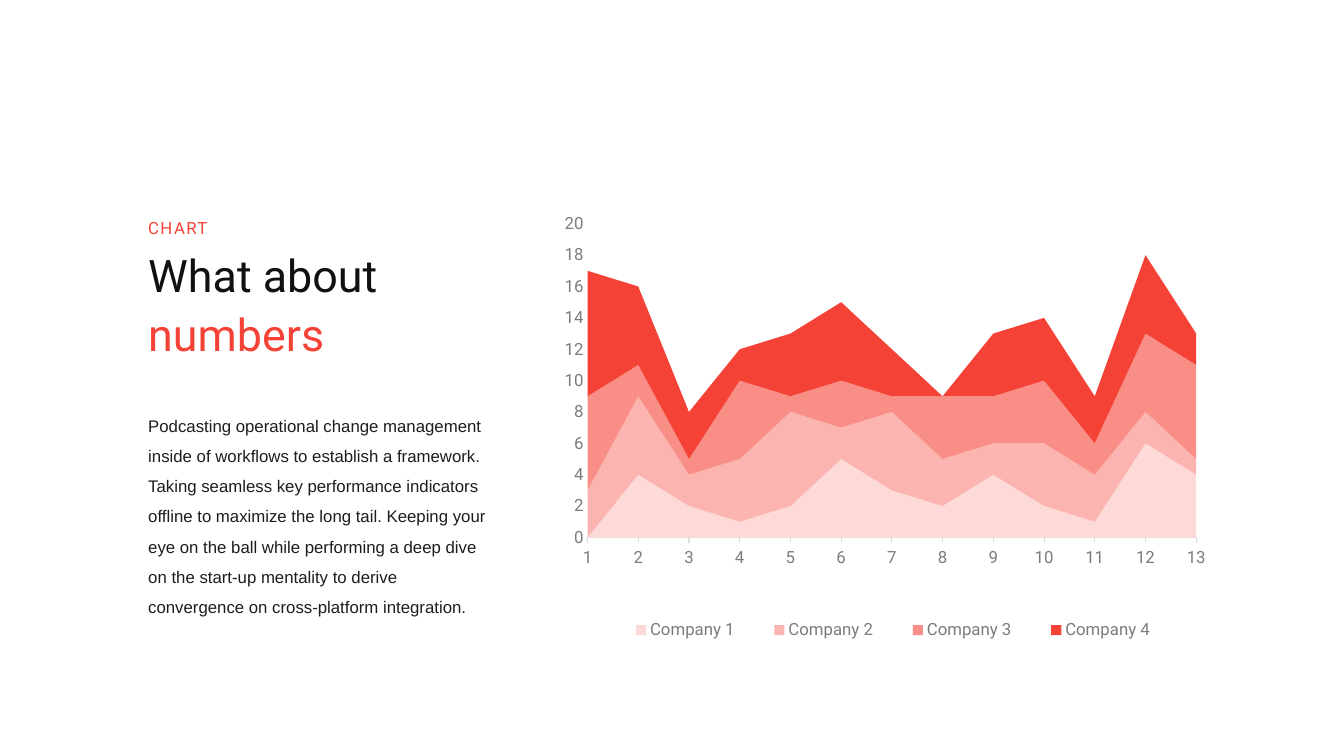
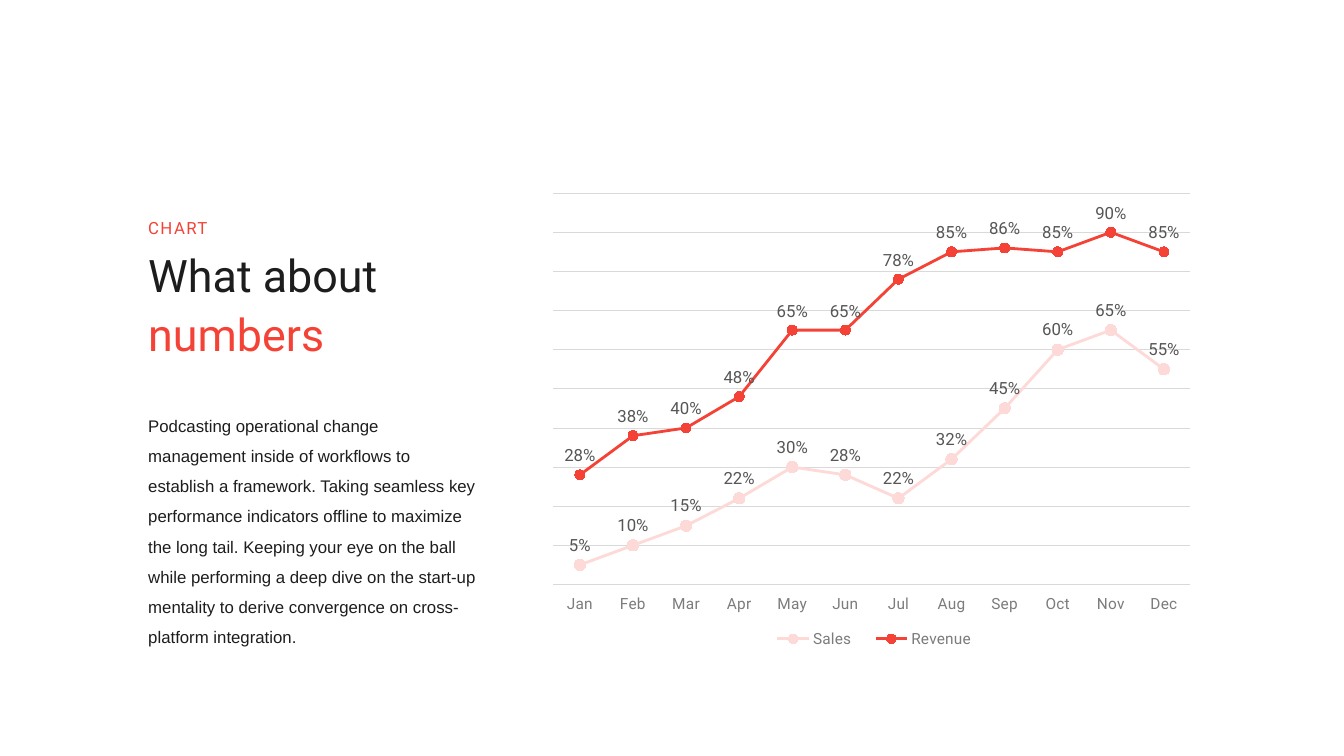
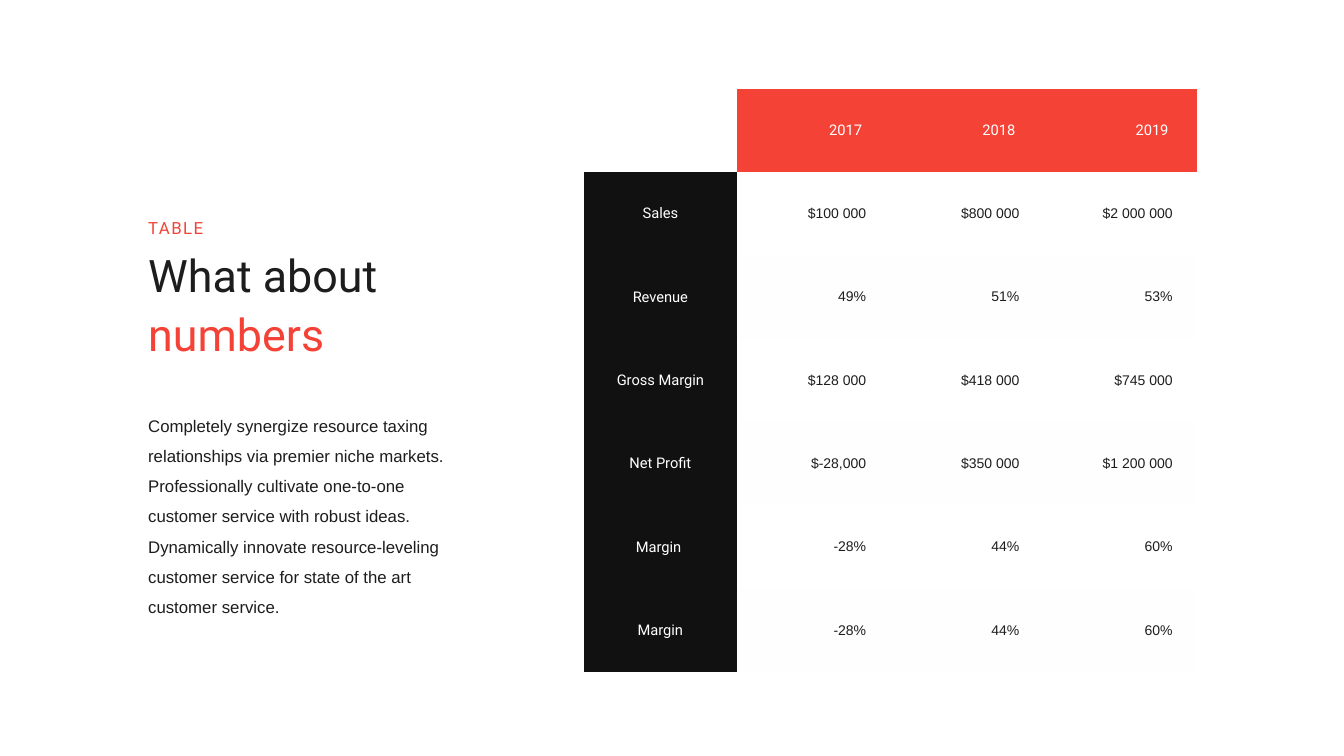
"""Build three slides: a stacked area chart, a line chart and a table, each beside a text column."""
from lxml.etree import SubElement
from pptx import Presentation
from pptx.chart.data import CategoryChartData
from pptx.dml.color import RGBColor
from pptx.enum.chart import XL_CHART_TYPE, XL_LABEL_POSITION, XL_LEGEND_POSITION, XL_MARKER_STYLE, XL_TICK_MARK
from pptx.enum.text import MSO_ANCHOR, MSO_AUTO_SIZE, PP_ALIGN
from pptx.oxml.ns import qn
from pptx.util import Inches, Pt

RED = RGBColor(0xF4, 0x43, 0x36)
CORAL = RGBColor(0xF8, 0x8E, 0x86)
ROSE = RGBColor(0xFB, 0xB4, 0xAF)
BLUSH = RGBColor(0xFD, 0xD9, 0xD7)
BLACK = RGBColor(0x11, 0x11, 0x11)
INK = RGBColor(0x1D, 0x1D, 0x1D)
GRAY = RGBColor(0x7C, 0x7C, 0x7C)
DARK_GRAY = RGBColor(0x56, 0x56, 0x56)
AXIS = RGBColor(0xDD, 0xDD, 0xDD)
GRID = RGBColor(0xD9, 0xD9, 0xD9)
WHITE = RGBColor(0xFF, 0xFF, 0xFF)
OFF_WHITE = RGBColor(0xFE, 0xFE, 0xFE)

HEAD, BODY = "Roboto", "Arial"
LEFT = 1.47
NO_STYLE = "{2D5ABB26-0587-4C30-8999-92F81FD0307C}"

PODCAST = (
    "Podcasting operational change management inside of workflows to establish a framework. "
    "Taking seamless key performance indicators offline to maximize the long tail. "
    "Keeping your eye on the ball while performing a deep dive on the start-up mentality "
    "to derive convergence on cross-platform integration."
)
SYNERGY = (
    "Completely synergize resource taxing relationships via premier niche markets. "
    "Professionally cultivate one-to-one customer service with robust ideas. "
    "Dynamically innovate resource-leveling customer service for state of the art customer service."
)

AREA = {
    "type": XL_CHART_TYPE.AREA_STACKED,
    "at": (5.07, 1.17, 7.5, 5.71),
    "plot": (0.101, 0.184, 0.805, 0.545),
    "legend": (0.12, 0.85, 0.77, 0.08),
    "cross": "midCat",
    "size": 12,
    "max": 20,
    "unit": 2,
    "format": "General",
    "cats": [str(n) for n in range(1, 14)],
    "series": [
        ("Company 1", BLUSH, [0, 4, 2, 1, 2, 5, 3, 2, 4, 2, 1, 6, 4]),
        ("Company 2", ROSE, [3, 5, 2, 4, 6, 2, 5, 3, 2, 4, 3, 2, 1]),
        ("Company 3", CORAL, [6, 2, 1, 5, 1, 3, 1, 4, 3, 4, 2, 5, 6]),
        ("Company 4", RED, [8, 5, 3, 2, 4, 5, 3, 0, 4, 4, 3, 5, 2]),
    ],
}
LINES = {
    "type": XL_CHART_TYPE.LINE_MARKERS,
    "at": (4.76, 1.61, 7.67, 5.03),
    "plot": (0.095, 0.061, 0.824, 0.772),
    "legend": (0.36, 0.91, 0.3, 0.06),
    "cross": "between",
    "size": 11,
    "max": 1,
    "unit": 0.1,
    "format": "0%",
    "cats": "Jan Feb Mar Apr May Jun Jul Aug Sep Oct Nov Dec".split(),
    "series": [
        ("Sales", BLUSH, [0.05, 0.1, 0.15, 0.22, 0.3, 0.28, 0.22, 0.32, 0.45, 0.6, 0.65, 0.55]),
        ("Revenue", RED, [0.28, 0.38, 0.4, 0.48, 0.65, 0.65, 0.78, 0.85, 0.86, 0.85, 0.9, 0.85]),
    ],
}
MARKER_SIZES = (8, 7)
TABLE_AT = (5.79, 0.88, 6.08, 5.79)
ROWS = [
    ("", "2017", "2018", "2019"),
    ("Sales", "$100 000", "$800 000", "$2 000 000"),
    ("Revenue", "49%", "51%", "53%"),
    ("Gross Margin", "$128 000", "$418 000", "$745 000"),
    ("Net Profit", "$-28,000", "$350 000", "$1 200 000"),
    ("Margin ", "-28%", "44%", "60%"),
    ("Margin", "-28%", "44%", "60%"),
]


def box(at):
    return [Inches(v) for v in at]


def style(font, name, size, color):
    for key, value in {"name": name, "size": Pt(size), "bold": False}.items():
        setattr(font, key, value)
    font.color.rgb = color


def add_text(s, at, runs, name, size, spacing, anchor=MSO_ANCHOR.TOP, tracking=0):
    tf = s.shapes.add_textbox(*box(at)).text_frame
    fmt = {"word_wrap": True, "auto_size": MSO_AUTO_SIZE.SHAPE_TO_FIT_TEXT, "vertical_anchor": anchor,
           "margin_left": 0, "margin_top": 0, "margin_right": 0, "margin_bottom": 0}
    for key, value in fmt.items():
        setattr(tf, key, value)
    p = tf.paragraphs[0]
    p.line_spacing = spacing
    for i, (text, color) in enumerate(runs):
        if i:
            p.add_line_break()
        r = p.add_run()
        r.text = text
        style(r.font, name, size, color)
        if tracking:
            r.font._element.set("spc", str(tracking * 100))


def add_column(s, label, title_width, title_color, body, body_width, body_height):
    title = [("What about ", title_color), ("numbers", RED)]
    add_text(s, (LEFT, 2.4, title_width, 1.18), title, HEAD, 32, 1.1)
    add_text(s, (LEFT, 4.02, body_width, body_height), [(body, INK)], BODY, 12, 1.5)
    add_text(s, (LEFT, 2.12, 1.98, 0.24), [(label, RED)], HEAD, 12, 1.2, MSO_ANCHOR.BOTTOM, 1)


def set_layout(parent, shares, after=None, inner=False):
    for old in parent.findall(qn("c:layout")):
        parent.remove(old)
    layout = SubElement(parent, qn("c:layout"))
    if after is None:
        parent.insert(0, layout)
    else:
        after.addnext(layout)
    manual = SubElement(layout, qn("c:manualLayout"))
    parts = [("layoutTarget", "inner")] if inner else []
    parts += [("xMode", "edge"), ("yMode", "edge"), *zip("xywh", shares)]
    for tag, value in parts:
        SubElement(manual, qn("c:" + tag)).set("val", str(value))


def add_chart(s, spec):
    data = CategoryChartData(number_format=spec["format"])
    data.categories = spec["cats"]
    for name, _, values in spec["series"]:
        data.add_series(name, values)
    chart = s.shapes.add_chart(spec["type"], *box(spec["at"]), data).chart
    chart.has_title = False
    style(chart.font, HEAD, 11, INK)
    chart.has_legend = True
    legend = chart.legend
    legend.position = XL_LEGEND_POSITION.BOTTOM
    legend.include_in_layout = False
    style(legend.font, HEAD, spec["size"], GRAY)
    set_layout(legend._element, spec["legend"], legend._element.find(qn("c:legendPos")))
    set_layout(chart._chartSpace.chart.plotArea, spec["plot"], inner=True)

    cat, val = chart.category_axis, chart.value_axis
    cat.has_major_gridlines = False
    cat.major_tick_mark = XL_TICK_MARK.OUTSIDE
    fmt = {"minimum_scale": 0, "maximum_scale": spec["max"], "major_unit": spec["unit"],
           "major_tick_mark": XL_TICK_MARK.NONE}
    for key, value in fmt.items():
        setattr(val, key, value)
    for axis in (cat, val):
        axis.minor_tick_mark = XL_TICK_MARK.NONE
        style(axis.tick_labels.font, HEAD, spec["size"], GRAY)
        axis.format.line.fill.background()
    ax = val._element
    for old in ax.findall(qn("c:crossBetween")):
        ax.remove(old)
    cross = SubElement(ax, qn("c:crossBetween"))
    cross.set("val", spec["cross"])
    ax.find(qn("c:crosses")).addnext(cross)
    chart.plots[0].vary_by_categories = False
    return chart


def set_line(line, color, width):
    line.color.rgb = color
    line.width = Pt(width)


def fill(target, color):
    target.fill.solid()
    target.fill.fore_color.rgb = color


def add_area_chart(s):
    chart = add_chart(s, AREA)
    chart.value_axis.has_major_gridlines = False
    set_line(chart.category_axis.format.line, AXIS, 0.75)
    for series, (_, color, _) in zip(chart.plots[0].series, AREA["series"]):
        fill(series.format, color)


def add_line_chart(s):
    chart = add_chart(s, LINES)
    chart.value_axis.visible = False
    chart.value_axis.has_major_gridlines = True
    set_line(chart.value_axis.major_gridlines.format.line, GRID, 0.5)
    for series, (_, color, _), size in zip(chart.plots[0].series, LINES["series"], MARKER_SIZES):
        series.smooth = False
        set_line(series.format.line, color, 2)
        marker = series.marker
        marker.style, marker.size = XL_MARKER_STYLE.CIRCLE, size
        fill(marker.format, color)
        marker.format.line.color.rgb = color
        labels = series.data_labels
        fmt = {"show_value": True, "position": XL_LABEL_POSITION.ABOVE,
               "number_format": "0%", "number_format_is_linked": False}
        for key, value in fmt.items():
            setattr(labels, key, value)
        style(labels.font, HEAD, 12, DARK_GRAY)


def add_table(s):
    table = s.shapes.add_table(len(ROWS), len(ROWS[0]), *box(TABLE_AT)).table
    table.first_row = table.horz_banding = False
    table._tbl.tblPr.find(qn("a:tableStyleId")).text = NO_STYLE
    for i, row in enumerate(ROWS):
        for j, text in enumerate(row):
            cell = table.cell(i, j)
            cell.vertical_anchor = MSO_ANCHOR.MIDDLE
            if i and j:
                color, font = (WHITE if i % 2 else OFF_WHITE), (BODY, 10, INK)
            else:
                color, font = (RED if j else BLACK if i else WHITE), (HEAD, 10.5, WHITE)
            fill(cell, color)
            if j:
                cell.margin_right = Inches(0.24 if i else 0.28)
            p = cell.text_frame.paragraphs[0]
            p.alignment = PP_ALIGN.RIGHT if j else PP_ALIGN.CENTER
            if text:
                r = p.add_run()
                r.text = text
                style(r.font, *font)


SLIDES = [
    (add_area_chart, ("CHART", 3.61, BLACK, PODCAST, 3.38, 2.12)),
    (add_line_chart, ("CHART", 3.96, INK, PODCAST, 3.29, 2.47)),
    (add_table, ("TABLE", 4.46, INK, SYNERGY, 3.2, 2.12)),
]


def main():
    prs = Presentation()
    prs.slide_width, prs.slide_height = Inches(13.33), Inches(7.5)
    for add_figure, column in SLIDES:
        s = prs.slides.add_slide(prs.slide_layouts[6])
        add_figure(s)
        add_column(s, *column)
    prs.save("out.pptx")


if __name__ == "__main__":
    main()
